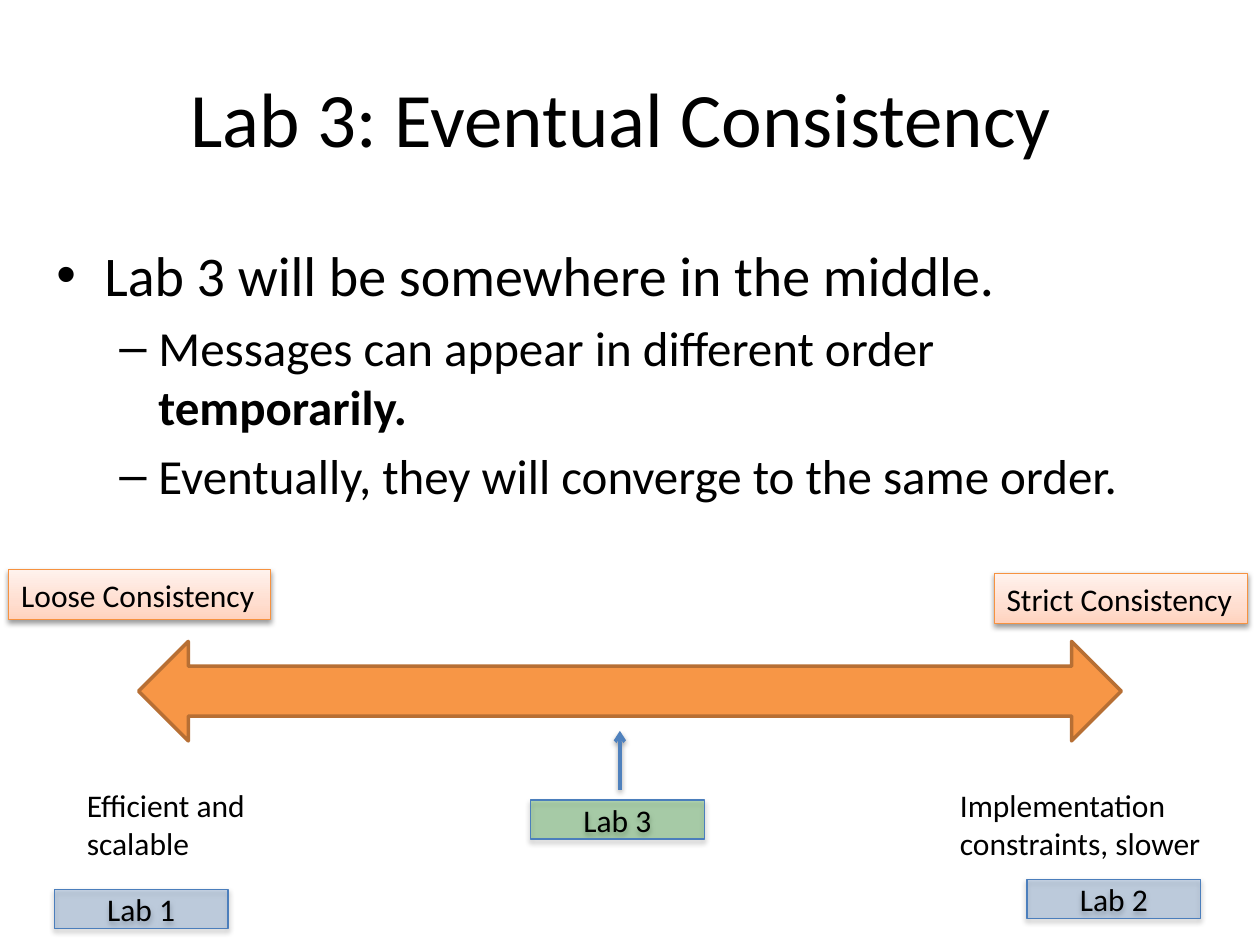
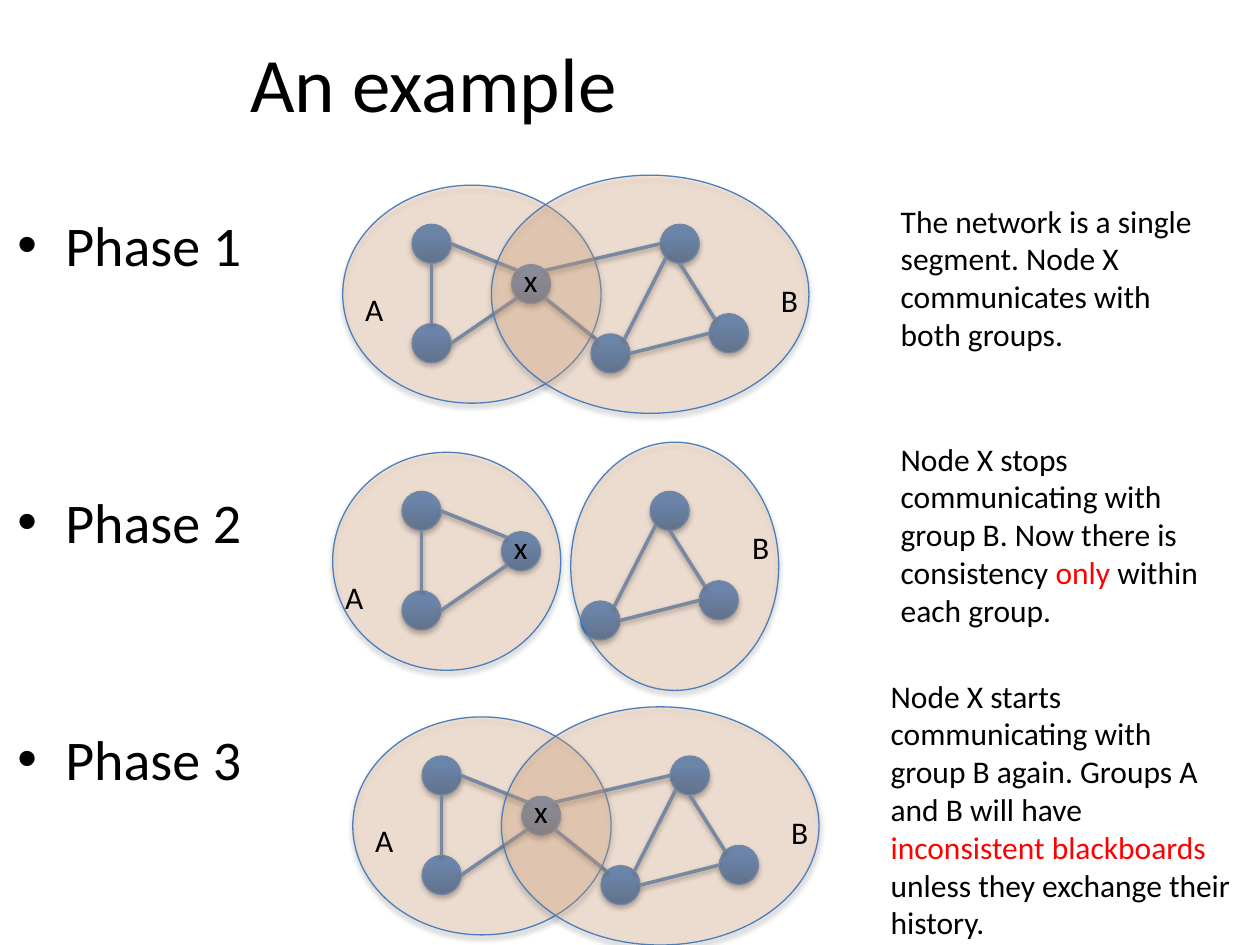
"""Builds two slides on eventual consistency: a scale of labs and a three-phase network example."""
from lxml import etree
from pptx import Presentation, util as u
from pptx.dml.color import RGBColor
from pptx.enum import shapes as sh, text as tx
from pptx.oxml.ns import qn

FONT, BLACK, RED = "Calibri", "000000", "FF0000"
BLUE, EDGE, PEACH, GREEN = "4F81BD", "4B7EBC", "FAC090", "008000"
BALL = [(0, "2F5F99"), (80, "3D7CC7"), (100, "3A7CCB")]
BLUSH = [(0, "FFD2BD"), (35, "FFDED0"), (100, "FFF2ED")]
KIND = sh.MSO_SHAPE

POINTS = [
    (0, 6.4, [("Lab 3 will be somewhere in the middle.",)]),
    (1, 5.6, [("Messages can appear in different order ",), ("temporarily.", BLACK, True)]),
    (1, 5.6, [("Eventually, they will converge to the same order.",)]),
]
ENDS = [("Loose Consistency", (0.07, 4.52, 2.08, 0.4)),
        ("Strict Consistency", (7.89, 4.55, 2.01, 0.4))]
NOTES = [("Efficient and scalable", (0.59, 6.19, 1.55, 0.71)),
         ("Implementation constraints, slower", (7.52, 6.19, 2.38, 0.71))]
LABS = [("Lab 1", 0.43, 7.06, BLUE), ("Lab 2", 8.15, 6.98, BLUE), ("Lab 3", 4.21, 6.35, GREEN)]

PHASES = [(0, 6.4, [("Phase 1",)]), (0, 120, [("Phase 2",)]), (0, 97, [("Phase 3",)])]
NODES = {"x": (4.06, 2.1), "a1": (3.27, 1.78), "a2": (3.27, 2.57),
         "b1": (4.69, 2.65), "b2": (5.24, 1.78), "b3": (5.63, 2.49)}
SIZE = 0.31
SITES = {"N": (0, -1), "S": (0, 1), "E": (1, 0), "W": (-1, 0),
         "NE": (0.7, -0.7), "NW": (-0.7, -0.7), "SE": (0.7, 0.7), "SW": (-0.7, 0.7)}
LINKS = [("a1", "E", "x", "NW"), ("a1", "S", "a2", "N"), ("a2", "E", "x", "SW"),
         ("b2", "S", "b3", "NW"), ("b1", "E", "b3", "W"), ("b1", "NE", "b2", "SW")]
BRIDGE = [("x", "SE", "b1", "NW"), ("x", "NE", "b2", "W")]
JOINED = {"rings": [(2.72, 1.47, 2.05, 1.73), (3.9, 1.39, 2.52, 1.89)],
          "tags": [("A", (2.8, 2.25, 0.24, 0.4)), ("B", (6.1, 2.18, 0.24, 0.4))],
          "links": LINKS + BRIDGE}
SPLIT = {"rings": [(2.72, 1.47, 1.81, 1.73), (4.61, 1.39, 1.65, 1.97)],
         "tags": [("A", (2.72, 2.42, 0.47, 0.4)), ("B", (5.95, 2.02, 0.31, 0.4))],
         "links": LINKS}
NETS = [(0, 0, JOINED), (-0.08, 2.12, SPLIT), (0.08, 4.22, JOINED)]
STORY = [
    ((7.05, 1.55, 2.68, 1.31),
     [("The network is a single segment. Node X communicates with both groups.",)]),
    ((7.05, 3.44, 2.8, 1.62),
     [("Node X stops communicating with group B. Now there is consistency ",),
      ("only", RED), (" within each group.",)]),
    ((6.97, 5.32, 2.91, 2.22),
     [("Node X starts communicating with group B again. Groups A and B will have ",),
      ("inconsistent blackboards ", RED), ("unless they exchange their history.",)]),
]


def rgb(hexa):
    return RGBColor.from_string(hexa)


def inch(nums):
    return [u.Inches(n) for n in nums]


def sub(top, tag, **attrs):
    return etree.SubElement(top, qn("a:" + tag), {k: str(v) for k, v in attrs.items()})


def write(para, runs, size):
    for words, *look in runs:
        color, bold = (look + [BLACK, False][len(look):])
        run = para.add_run()
        run.text = words
        font = run.font
        font.name, font.size, font.bold = FONT, u.Pt(size), bold
        font.color.rgb = rgb(color)


def label(slide, box, runs, size=18):
    frame = slide.shapes.add_textbox(*inch(box)).text_frame
    frame.word_wrap = True
    write(frame.paragraphs[0], runs, size)
    return frame


def title(slide, words, box):
    frame = label(slide, box, [(words,)], 44)
    frame.vertical_anchor = tx.MSO_ANCHOR.MIDDLE
    frame.paragraphs[0].alignment = tx.PP_ALIGN.CENTER


def body(slide, items, box):
    frame = slide.shapes.add_textbox(*inch(box)).text_frame
    frame.word_wrap = True
    for i, (level, gap, runs) in enumerate(items):
        para = frame.add_paragraph() if i else frame.paragraphs[0]
        para.level, para.space_before = level, u.Pt(gap)
        left, hang, mark, size = [(0.38, 0.38, "•", 32), (0.81, 0.31, "–", 28)][level]
        props = para._p.get_or_add_pPr()
        props.set("marL", str(u.Inches(left)))
        props.set("indent", str(-u.Inches(hang)))
        sub(props, "buFont", typeface="Arial")
        sub(props, "buChar", char=mark)
        write(para, runs, size)


def shade(props, alpha, dist):
    fx = props.find(qn("a:effectLst"))
    if fx is None:
        fx = sub(props, "effectLst")
    drop = sub(fx, "outerShdw", blurRad=u.Pt(3.1), dist=u.Pt(dist), dir=5400000, rotWithShape=0)
    sub(sub(drop, "srgbClr", val=BLACK), "alpha", val=alpha * 1000)


def form(slide, kind, box, fill, edge=EDGE, width=0.75, alpha=None, shadow=(35, 1.8)):
    shape = slide.shapes.add_shape(kind, *inch(box))
    shape.shadow.inherit = False
    props = shape._element.spPr
    if isinstance(fill, list):
        shape.fill.gradient()
        shape.fill.gradient_angle = 90
        stops = props.find(".//" + qn("a:gsLst"))
        for old in list(stops):
            stops.remove(old)
        for pos, color in fill:
            sub(sub(stops, "gs", pos=pos * 1000), "srgbClr", val=color)
    else:
        shape.fill.solid()
        shape.fill.fore_color.rgb = rgb(fill)
        if alpha:
            sub(props.find(".//" + qn("a:srgbClr")), "alpha", val=alpha * 1000)
    shape.line.color.rgb = rgb(edge)
    shape.line.width = u.Pt(width)
    if shadow:
        shade(props, *shadow)
    return shape


def caption(shape, words, align, wrap=True):
    frame = shape.text_frame
    frame.word_wrap = wrap
    frame.vertical_anchor = tx.MSO_ANCHOR.MIDDLE
    frame.paragraphs[0].alignment = align
    write(frame.paragraphs[0], [(words,)], 18)


def wire(slide, start, end, head=False):
    line = slide.shapes.add_connector(sh.MSO_CONNECTOR.STRAIGHT, *inch((*start, *end)))
    line.line.color.rgb = rgb(BLUE)
    line.line.width = u.Pt(2)
    if head:
        sub(line.line._get_or_add_ln(), "tailEnd", type="arrow")
    shade(line._element.spPr, 38, 1.6)


def scale(slide):
    title(slide, "Lab 3: Eventual Consistency ", (0.5, 0.3, 9, 1.25))
    body(slide, POINTS, (0.35, 1.86, 9, 4.95))
    form(slide, KIND.LEFT_RIGHT_ARROW, (1.1, 5.09, 7.8, 0.79), "F79646", "B76F34", 2, shadow=None)
    for words, box in ENDS:
        shape = form(slide, KIND.RECTANGLE, box, BLUSH, "F69240", shadow=(38, 1.6))
        caption(shape, words, tx.PP_ALIGN.LEFT, False)
    for words, box in NOTES:
        label(slide, box, [(words,)])
    for words, x, y, color in LABS:
        shape = form(slide, KIND.RECTANGLE, (x, y, 1.38, 0.31), color, alpha=28)
        caption(shape, words, tx.PP_ALIGN.CENTER)
    wire(slide, (4.92, 6.27), (4.92, 5.8), True)


def net(slide, dx, dy, plan):
    def move(box):
        return (box[0] + dx, box[1] + dy, *box[2:])

    def site(node, side):
        return [p + SIZE / 2 * (1 + d) for p, d in zip(move(NODES[node]), SITES[side])]

    for spot in NODES.values():
        form(slide, KIND.OVAL, (*move(spot), SIZE, SIZE), BALL)
    for one, out, two, into in plan["links"]:
        wire(slide, site(one, out), site(two, into))
    for ring in plan["rings"]:
        form(slide, KIND.OVAL, move(ring), PEACH, alpha=27)
    for words, box in [("x", (4.06, 2.02, 0.31, 0.4))] + plan["tags"]:
        label(slide, move(box), [(words,)])


def example(slide):
    title(slide, "An example", (-1.06, 0.02, 9, 1.25))
    body(slide, PHASES, (0.04, 1.62, 9, 4.95))
    for dx, dy, plan in NETS:
        net(slide, dx, dy, plan)
    for box, runs in STORY:
        label(slide, box, runs)


deck = Presentation()
deck.slide_width, deck.slide_height = inch((10, 7.5))
for draw in (scale, example):
    draw(deck.slides.add_slide(deck.slide_layouts[6]))
deck.save("out.pptx")
